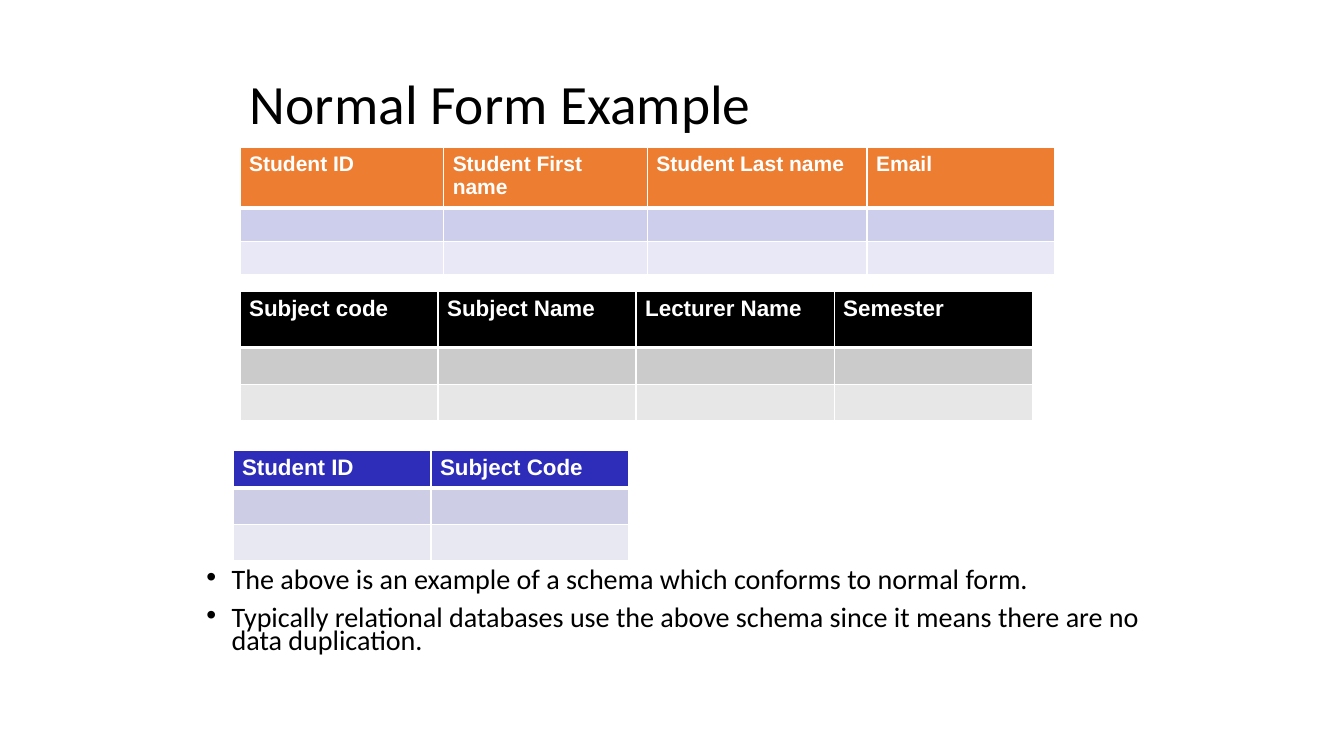
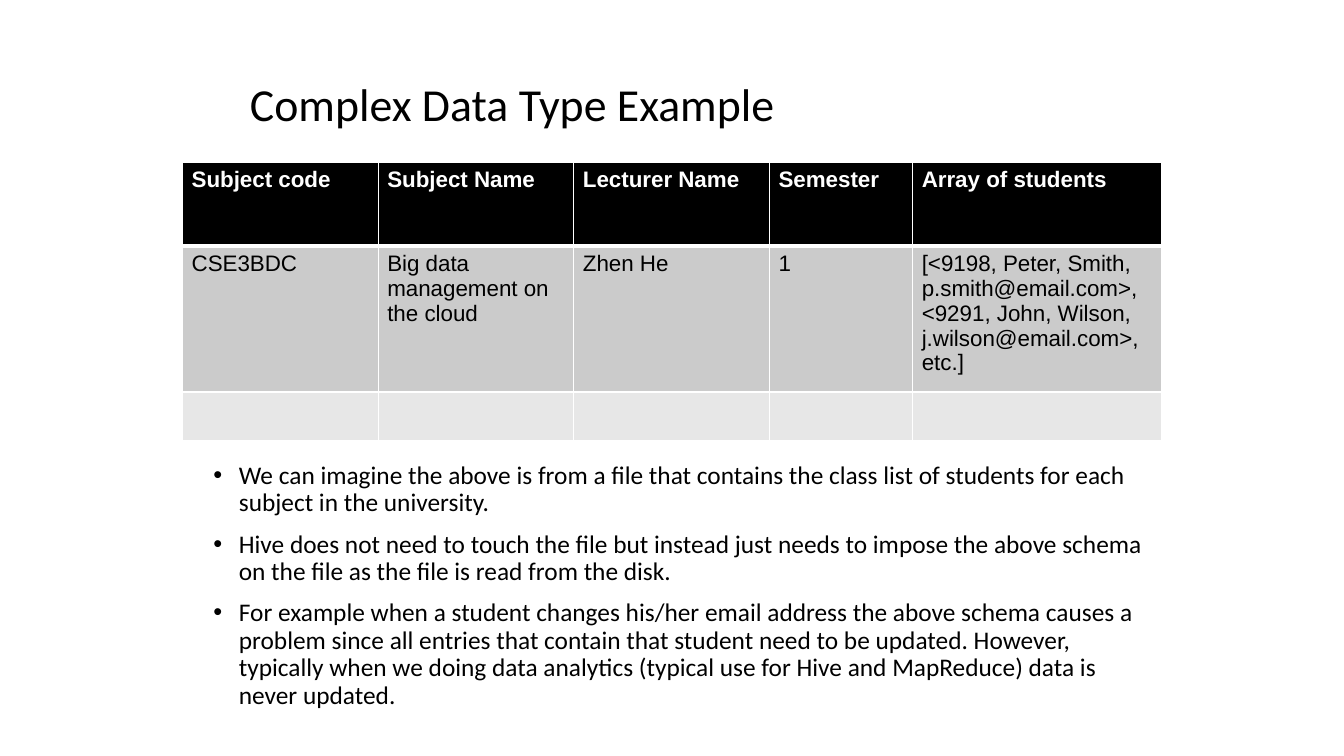
from dataclasses import dataclass

from lxml.etree import SubElement
from pptx import Presentation
from pptx.dml.color import RGBColor
from pptx.enum.text import MSO_ANCHOR
from pptx.oxml.ns import qn
from pptx.util import Cm, Pt


@dataclass(frozen=True)
class Theme:
    text: str = "000000"
    inverse: str = "FFFFFF"
    # Each palette: header, first row, second row
    orange: tuple = ("ED7D31", "CDCDEC", "E8E8F6")
    black: tuple = ("000000", "CBCBCB", "E7E7E7")
    blue: tuple = ("2D2DB9", "CDCDE6", "E8E8F3")
    prose_font: str = "Calibri"
    table_font: str = "Arial"
    table_size: float = 16
    compact_size: float = 15
    empty_size: float = 12
    thin_rule: float = 1
    header_rule: float = 3


THEME = Theme()

# Shared geometry in centimetres: left, top, width, height
SLIDE_SIZE = (33.87, 19.05)
TITLE_BOX = (6.05, 1.73, 22.61, 1.93)
BULLET_INDENT = 0.64
CELL_MARGINS = (0.23, 0.13)

# Content
SUBJECT_FIELDS = ["Subject code", "Subject Name", "Lecturer Name", "Semester"]
SLIDES = [
    {
        "title": ("Normal Form Example", 39.6),
        "bullets": {
            "box": (4.95, 14.25, 24, 2.46), "size": 20.1, "spacing": 0.7,
            "points": [
                "The above is an example of a schema which conforms to normal form.",
                "Typically relational databases use the above schema since it means "
                "there are no data duplication.",
            ],
        },
        "tables": [
            {"at": (6.05, 3.71), "columns": [5.13, 5.13, 5.54, 4.72],
             "heights": [1.42, 0.84, 0.84], "palette": THEME.orange,
             "size": THEME.compact_size,
             "rows": [["Student ID", "Student First name", "Student Last name", "Email"]]},
            {"at": (6.05, 7.34), "columns": [4.99] * 4,
             "heights": [1.42, 0.92, 0.92], "palette": THEME.black,
             "size": THEME.table_size, "rows": [SUBJECT_FIELDS]},
            {"at": (5.87, 11.35), "columns": [4.99] * 2,
             "heights": [0.92] * 3, "palette": THEME.blue,
             "size": THEME.table_size, "rows": [["Student ID", "Subject Code"]]},
        ],
    },
    {
        "title": ("Complex Data Type Example", 32.7),
        "bullets": {
            "box": (5.13, 11.53, 24, 7.01), "size": 18.1, "spacing": 0.9,
            "points": [
                "We can imagine the above is from a file that contains the class list "
                "of students for each subject in the university.",
                "Hive does not need to touch the file but instead just needs to impose "
                "the above schema on the file as the file is read from the disk.",
                "For example when a student changes his/her email address the above "
                "schema causes a problem since all entries that contain that student "
                "need to be updated. However, typically when we doing data analytics "
                "(typical use for Hive and MapReduce) data is never updated.",
            ],
        },
        "tables": [
            {"at": (4.6, 4.09), "columns": [4.93, 4.93, 4.93, 3.61, 6.27],
             "heights": [2.11, 3.68, 1.22], "palette": THEME.black,
             "size": THEME.table_size,
             "rows": [
                 SUBJECT_FIELDS + ["Array of students"],
                 ["CSE3BDC", "Big data management on the cloud", "Zhen He", "1",
                  "[<9198, Peter, Smith, p.smith@email.com>, "
                  "<9291, John, Wilson, j.wilson@email.com>, etc.]"],
             ]},
        ],
    },
]


# Text
def add_run(paragraph, text, font, size, color, bold=False):
    run = paragraph.add_run()
    run.text = text
    run.font.name = font
    run.font.size = Pt(size)
    run.font.bold = bold
    run.font.color.rgb = RGBColor.from_string(color)


def add_frame(slide, box):
    frame = slide.shapes.add_textbox(*map(Cm, box)).text_frame
    frame.word_wrap = True
    return frame


def add_title(slide, title, size):
    frame = add_frame(slide, TITLE_BOX)
    frame.vertical_anchor = MSO_ANCHOR.MIDDLE
    heading = frame.paragraphs[0]
    heading.line_spacing = 0.9
    add_run(heading, title, THEME.prose_font, size, THEME.text)


def add_bullets(slide, box, size, spacing, points):
    frame = add_frame(slide, box)
    for index, point in enumerate(points):
        paragraph = frame.add_paragraph() if index else frame.paragraphs[0]
        properties = paragraph._p.get_or_add_pPr()
        properties.set("marL", str(Cm(BULLET_INDENT)))
        properties.set("indent", str(-Cm(BULLET_INDENT)))
        SubElement(properties, qn("a:buFont"), typeface=THEME.table_font)
        SubElement(properties, qn("a:buChar"), char="•")
        paragraph.line_spacing = spacing
        if index:
            paragraph.space_before = Pt(10)
        add_run(paragraph, point, THEME.prose_font, size, THEME.text)


# Tables
def add_borders(cell, row):
    widths = {"L": THEME.thin_rule, "R": THEME.thin_rule,
              "T": THEME.header_rule if row == 1 else THEME.thin_rule,
              "B": THEME.header_rule if row == 0 else THEME.thin_rule}
    properties = cell._tc.get_or_add_tcPr()
    for side, width in widths.items():
        line = SubElement(properties, qn(f"a:ln{side}"), w=str(Pt(width)))
        fill = SubElement(line, qn("a:solidFill"))
        SubElement(fill, qn("a:srgbClr"), val=THEME.inverse)


def fill_cell(cell, row, text, color, size):
    cell.margin_left = cell.margin_right = Cm(CELL_MARGINS[0])
    cell.margin_top = cell.margin_bottom = Cm(CELL_MARGINS[1])
    add_borders(cell, row)
    cell.fill.solid()
    cell.fill.fore_color.rgb = RGBColor.from_string(color)
    paragraph = cell.text_frame.paragraphs[0]
    if text:
        header = row == 0
        add_run(paragraph, text, THEME.table_font, size,
                THEME.inverse if header else THEME.text, header)
    else:
        # Keeps an empty row from growing to the default text size
        SubElement(paragraph._p, qn("a:endParaRPr"), sz=str(int(THEME.empty_size * 100)))


def add_schema(slide, at, columns, heights, palette, size, rows):
    extent = (sum(columns), sum(heights))
    schema = slide.shapes.add_table(
        len(heights), len(columns), *map(Cm, at + extent)).table
    for column, width in zip(schema.columns, columns):
        column.width = Cm(width)
    for row, (height, color) in enumerate(zip(heights, palette)):
        schema.rows[row].height = Cm(height)
        entries = rows[row] if row < len(rows) else [""] * len(columns)
        for column, text in enumerate(entries):
            fill_cell(schema.cell(row, column), row, text, color, size)


def main():
    deck = Presentation()
    deck.slide_width, deck.slide_height = map(Cm, SLIDE_SIZE)
    for content in SLIDES:
        slide = deck.slides.add_slide(deck.slide_layouts[6])
        add_title(slide, *content["title"])
        add_bullets(slide, **content["bullets"])
        for schema in content["tables"]:
            add_schema(slide, **schema)
    deck.save("out.pptx")


if __name__ == "__main__":
    main()
